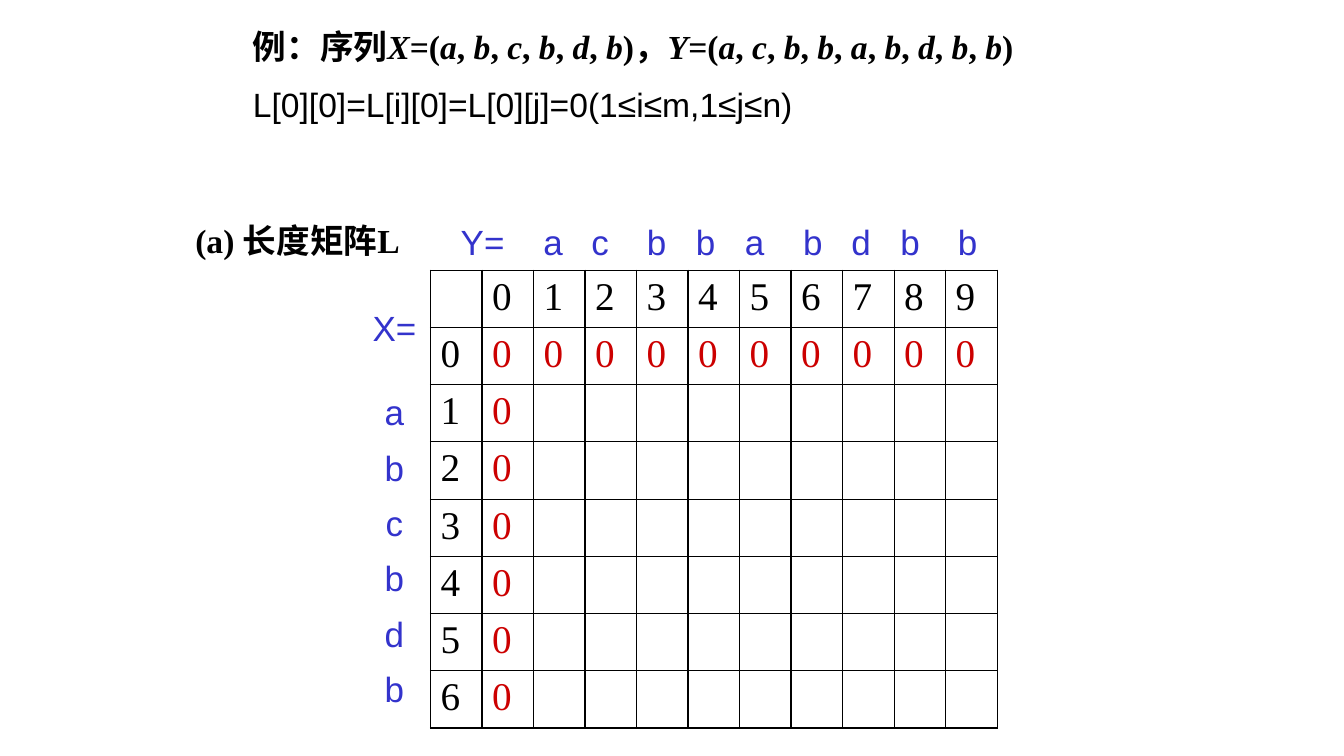
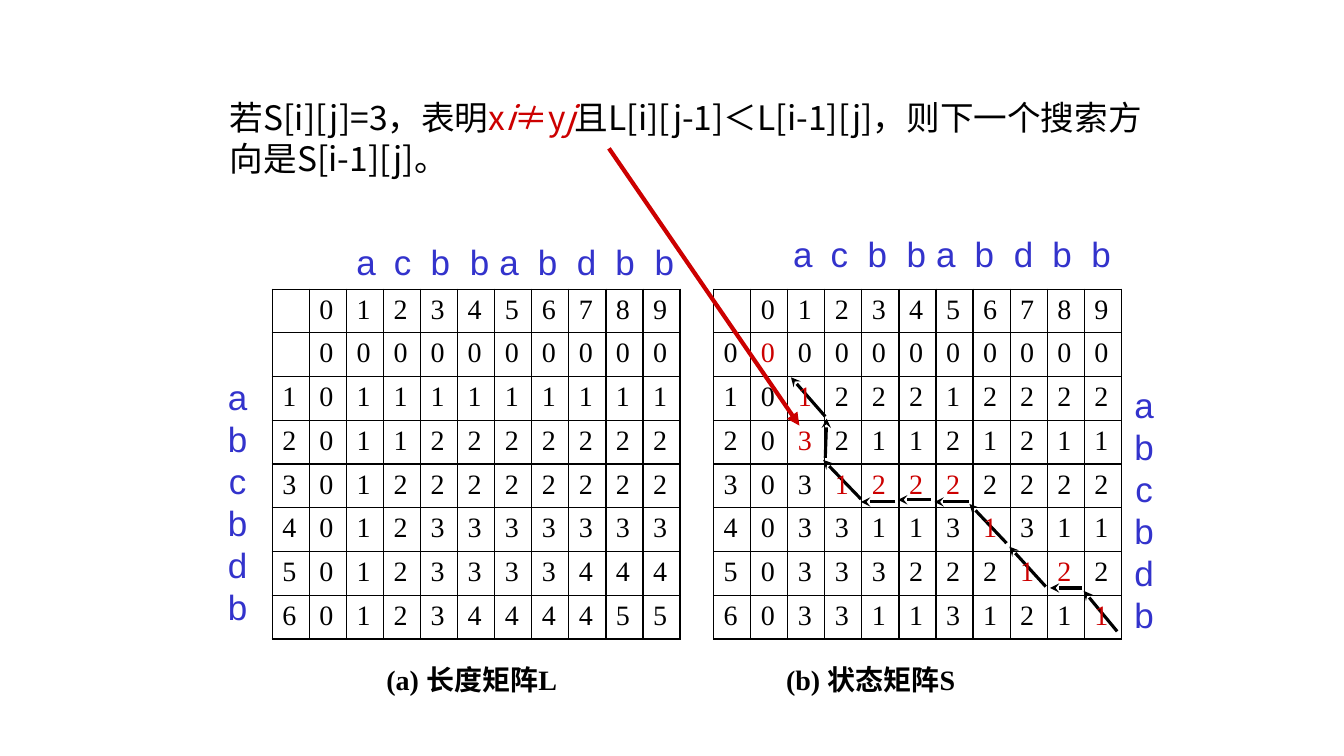
from dataclasses import dataclass
from typing import Optional

from lxml.etree import SubElement
from pptx import Presentation
from pptx.dml.color import RGBColor
from pptx.enum.shapes import MSO_CONNECTOR
from pptx.enum.text import MSO_ANCHOR, MSO_AUTO_SIZE, PP_ALIGN
from pptx.oxml.ns import qn
from pptx.util import Pt

BLACK, RED, BLUE = "000000", "CC0000", "3333CC"
SERIF, SANS, CJK = "Times New Roman", "Arial", "Noto Sans CJK SC"
TITLE_ONLY = 5
X_LETTERS, Y_LETTERS = "abcbdb", "acbbabdbb"


@dataclass
class Box:
    x: float
    y: float
    w: float
    h: float

    def lengths(self) -> tuple:
        return Pt(self.x), Pt(self.y), Pt(self.w), Pt(self.h)


@dataclass
class Style:
    font: str
    size: float
    color: str = BLACK
    bold: bool = False
    line: Optional[float] = None


@dataclass
class Arrow:
    x1: float
    y1: float
    x2: float
    y2: float
    color: str = BLACK
    width: float = 2.25
    head: str = "stealth"


HEADING = Style(SERIF, 24, bold=True, line=29)
FORMULA = Style(SANS, 24, line=29)
STATEMENT = Style(CJK, 24, line=29)
CAPTION = Style(SERIF, 20, bold=True, line=24)
LETTERS = Style(SANS, 25, BLUE, line=30)

LENGTHS = ["", *(f"{i}0" for i in range(7))]
LENGTHS[0] = " 0123456789"
LENGTHS[1] = "0" * 11

L_MATRIX = [" 0123456789", " 0000000000", "10111111111", "20112222222",
            "30122222222", "40123333333", "50123333444", "60123444455"]
S_MATRIX = [" 0123456789", "00000000000", "10122212222", "20321121211",
            "30312222222", "40331131311", "50333222122", "60331131211"]
S_PATH = {(1, 1), (2, 2), (3, 2), (4, 3), (4, 4), (4, 5), (4, 6),
          (5, 7), (6, 8), (6, 9), (7, 10)}

PATH_ARROWS = [
    Arrow(798, 451, 774, 422), Arrow(773, 420, 750, 420),
    Arrow(747, 419, 721, 390.5), Arrow(719, 388, 692.5, 360),
    Arrow(692, 358.5, 667.5, 358.5), Arrow(665, 357, 641.5, 357),
    Arrow(639.5, 358.5, 615, 358.5), Arrow(615, 356.5, 588, 328.5),
    Arrow(589.5, 327, 590.5, 299), Arrow(589.5, 297.5, 565, 269.5),
]


def rgb(color: str) -> RGBColor:
    return RGBColor.from_string(color)


def format_paragraph(p, style: Style, before: float = 0, align=PP_ALIGN.LEFT) -> None:
    p.alignment = align
    p.space_before = Pt(before)
    if style.line:
        p.line_spacing = Pt(style.line)
    font = p.font
    font.name, font.size, font.bold = style.font, Pt(style.size), style.bold
    font.color.rgb = rgb(style.color)
    latin = p._p.pPr.find(qn("a:defRPr")).find(qn("a:latin"))
    ea = latin.makeelement(qn("a:ea"), {"typeface": CJK})
    latin.addnext(ea)


def add_runs(p, text: str, color: Optional[str] = None) -> None:
    """Add text to a paragraph; parts between asterisks become italic."""
    for i, part in enumerate(text.split("*")):
        if part:
            r = p.add_run()
            r.text = part
            if i % 2:
                r.font.italic = True
            if color:
                r.font.color.rgb = rgb(color)


def place_title(slide, box: Box):
    sp = slide.shapes.title
    sp.left, sp.top, sp.width, sp.height = box.lengths()
    tf = sp.text_frame
    tf.auto_size = MSO_AUTO_SIZE.NONE
    tf.vertical_anchor = MSO_ANCHOR.TOP
    tf.word_wrap = True
    return tf


def add_box(slide, box: Box, anchor=MSO_ANCHOR.MIDDLE, wrap: bool = True):
    tf = slide.shapes.add_textbox(*box.lengths()).text_frame
    tf.word_wrap = wrap
    tf.vertical_anchor = anchor
    return tf


def add_caption(slide, box: Box, text: str, style: Style) -> None:
    tf = add_box(slide, box, MSO_ANCHOR.TOP)
    tf.margin_left = tf.margin_right = tf.margin_top = tf.margin_bottom = 0
    p = tf.paragraphs[0]
    format_paragraph(p, style)
    add_runs(p, text)


def add_letter_row(slide, box: Box, labels: list[str], stops: list[float]) -> None:
    """Put labels on one line, each after the first centred on a tab stop."""
    p = add_box(slide, box).paragraphs[0]
    tabs = SubElement(p._p.get_or_add_pPr(), qn("a:tabLst"))
    for stop in stops:
        SubElement(tabs, qn("a:tab"), pos=str(int(Pt(stop))), algn="ctr")
    format_paragraph(p, LETTERS)
    add_runs(p, "\t".join(labels))


def add_letter_column(slide, box: Box, labels: list[str], gaps: list[float]) -> None:
    tf = add_box(slide, box, wrap=False)
    for i, (label, gap) in enumerate(zip(labels, gaps)):
        p = tf.add_paragraph() if i else tf.paragraphs[0]
        format_paragraph(p, LETTERS, gap, PP_ALIGN.CENTER)
        add_runs(p, label)


def set_borders(cell, sides: str) -> None:
    """Draw the named sides (of LRTB) in black and hide the others."""
    tc_pr = cell._tc.get_or_add_tcPr()
    for side in "LRTB":
        ln = SubElement(tc_pr, qn(f"a:ln{side}"), w=str(int(Pt(1))))
        if side in sides:
            fill = SubElement(ln, qn("a:solidFill"))
            SubElement(fill, qn("a:srgbClr"), val=BLACK)
        else:
            SubElement(ln, qn("a:noFill"))


def add_matrix(slide, box: Box, rows: list[str], widths: list[float], size: float,
               red: set, gap: Optional[int] = None) -> None:
    """Draw one character per cell; the gap column separates two matrices."""
    table = slide.shapes.add_table(len(rows), len(widths), *box.lengths()).table
    table.first_row = table.horz_banding = False
    for col, width in zip(table.columns, widths):
        col.width = Pt(width)
    for i, row in enumerate(rows):
        table.rows[i].height = Pt(box.h / len(rows))
        for j, char in enumerate(row):
            cell = table.cell(i, j)
            set_borders(cell, "LR" if j == gap else "LRTB")
            cell.fill.background()
            if char != " ":
                p = cell.text_frame.paragraphs[0]
                color = RED if (i, j) in red else BLACK
                format_paragraph(p, Style(SERIF, size, color))
                add_runs(p, char)


def add_arrow(slide, arrow: Arrow) -> None:
    ends = (Pt(v) for v in (arrow.x1, arrow.y1, arrow.x2, arrow.y2))
    cxn = slide.shapes.add_connector(MSO_CONNECTOR.STRAIGHT, *ends)
    cxn.line.color.rgb = rgb(arrow.color)
    cxn.line.width = Pt(arrow.width)
    SubElement(cxn.line._get_or_add_ln(), qn("a:tailEnd"), type=arrow.head)
    SubElement(cxn._element.spPr, qn("a:effectLst"))


def build_initial_slide(prs) -> None:
    slide = prs.slides.add_slide(prs.slide_layouts[TITLE_ONLY])
    tf = place_title(slide, Box(173.5, 15, 629, 80))
    x_seq, y_seq = (", ".join(f"*{c}*" for c in s) for s in (X_LETTERS, Y_LETTERS))
    p = tf.paragraphs[0]
    format_paragraph(p, HEADING)
    add_runs(p, f"例：序列*X*=({x_seq})，*Y*=({y_seq})")
    p = tf.add_paragraph()
    format_paragraph(p, FORMULA, before=12)
    add_runs(p, "L[0][0]=L[i][0]=L[0][j]=0(1≤i≤m,1≤j≤n)")

    add_caption(slide, Box(139.5, 157, 146, 60), "(a) 长度矩阵L", HEADING)
    rows = [" 0123456789", "0" * 11] + [f"{i}0".ljust(11) for i in range(1, 7)]
    red = {(1, j) for j in range(1, 11)} | {(i, 1) for i in range(2, 8)}
    add_matrix(slide, Box(307.5, 193, 404.8, 327.2), rows, [36.8] * 11, 28, red)
    add_letter_column(slide, Box(259, 199, 45.5, 328), ["X=", *X_LETTERS],
                      [0, 30] + [9.6] * 5)
    add_letter_row(slide, Box(322, 154, 420, 37.5), ["Y=", *Y_LETTERS],
                   [66, 99.5, 140, 175, 210, 251.5, 286, 321, 362])


def build_search_slide(prs) -> None:
    slide = prs.slides.add_slide(prs.slide_layouts[TITLE_ONLY])
    tf = place_title(slide, Box(157, 65.5, 669, 65))
    p = tf.paragraphs[0]
    format_paragraph(p, STATEMENT)
    add_runs(p, "若S[i][j]=3，表明")
    add_runs(p, "x*i*≠y*j*", RED)
    add_runs(p, "且L[i][j-1]＜L[i-1][j]，则下一个搜索方向是S[i-1][j]。")

    for arrow in PATH_ARROWS:
        add_arrow(slide, arrow)
    for x, text in ((276, "(a) 长度矩阵L"), (561.5, "(b) 状态矩阵S")):
        add_caption(slide, Box(x, 473, 160, 32), text, CAPTION)

    side = [26.5] * 11
    rows = [f"{left} {right}" for left, right in zip(L_MATRIX, S_MATRIX)]
    red = {(i, j + 12) for i, j in S_PATH}
    add_matrix(slide, Box(194.5, 206.5, 607, 250), rows, [*side, 24, *side], 20,
               red, gap=11)

    for x, y in ((155.5, 263.5), (803, 269)):
        add_letter_column(slide, Box(x, y, 28.5, 189.5), list(X_LETTERS), [0] * 6)
    for x, y in ((247.5, 168), (559.5, 162)):
        add_letter_row(slide, Box(x, y, 255.5, 37.5), list(Y_LETTERS),
                       [33, 60, 88, 109, 136.5, 164.5, 192, 220])
    add_arrow(slide, Arrow(435, 106, 571, 304, RED, 3, "triangle"))


def main() -> None:
    prs = Presentation()
    prs.slide_width, prs.slide_height = Pt(960), Pt(540)
    build_initial_slide(prs)
    build_search_slide(prs)
    prs.save("out.pptx")


if __name__ == "__main__":
    main()
